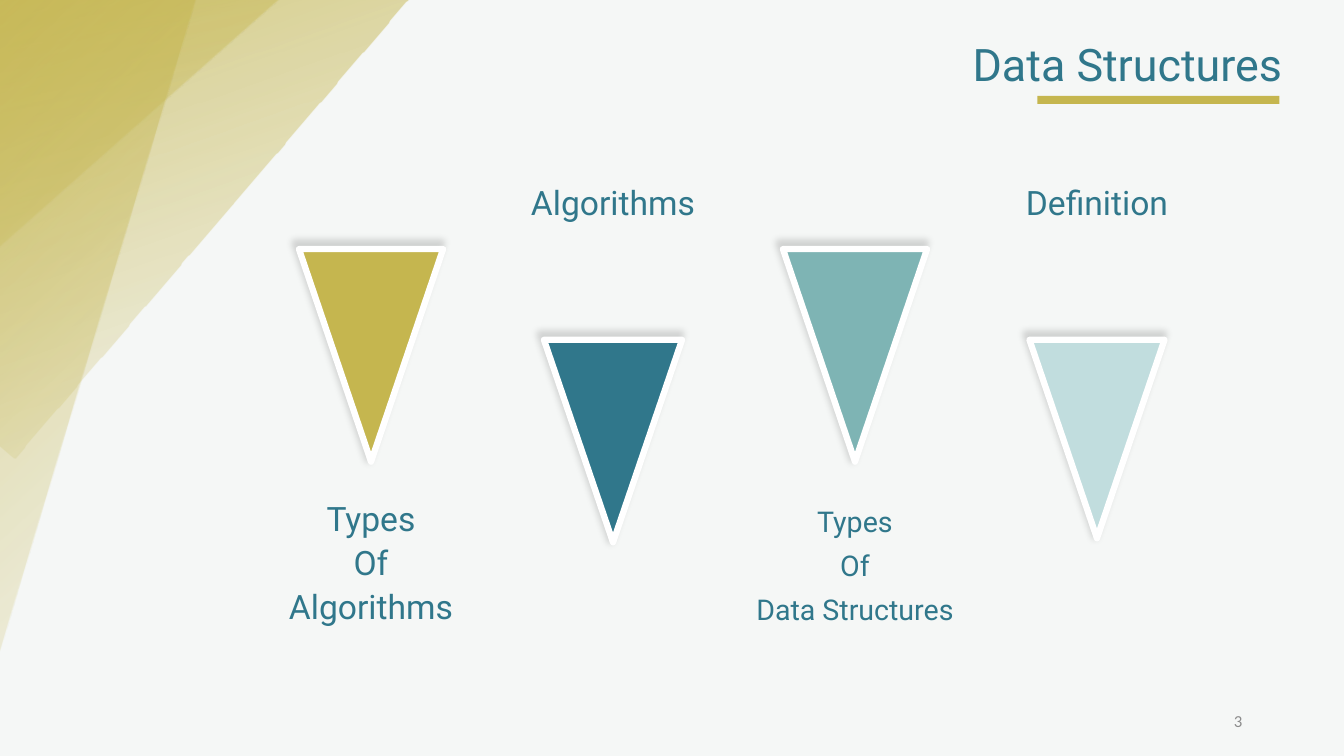
from dataclasses import dataclass

from lxml.etree import SubElement
from pptx import Presentation
from pptx.dml.color import RGBColor
from pptx.enum.shapes import MSO_SHAPE as Kind
from pptx.enum.text import MSO_ANCHOR as Anchor, MSO_AUTO_SIZE as Fit, PP_ALIGN as Align
from pptx.oxml import parse_xml
from pptx.oxml.ns import nsdecls, qn
from pptx.util import Inches, Pt


@dataclass(frozen=True)
class Theme:
    paper: str = "F5F7F6"
    gold: str = "C5B64F"
    blue: str = "30778B"
    teal: str = "7EB4B4"
    mist: str = "C1DDDE"
    white: str = "FFFFFF"
    gray: str = "8C8C8C"
    font: str = "Roboto"
    plain: str = "Calibri"
    title: float = 32
    label: float = 24
    small: float = 20.4
    note: float = 12


def write(frame, text, size, color, font, align, anchor=Anchor.TOP, line=None, before=None):
    frame.word_wrap = True
    frame.vertical_anchor = anchor
    frame.text = text
    for par in frame.paragraphs:
        par.alignment = align
        if line:
            par.line_spacing = Pt(line)
        if before:
            par.space_before = Pt(before)
        style = par.runs[0].font
        style.size, style.name = Pt(size), font
        style.color.rgb = RGBColor.from_string(color)


class Page:
    """A slide on a grid of 133.3 columns by 75 rows, each a tenth of an inch."""

    def __init__(self, deck, theme):
        self.theme = theme
        self.slide = deck.slides.add_slide(deck.slide_layouts[5])
        back = self.slide.background.fill
        back.solid()
        back.fore_color.rgb = RGBColor.from_string(theme.paper)

    def area(self, *cells):
        return [Inches(cell / 10) for cell in cells]

    def title(self, text, *cells):
        shape = self.slide.shapes.title
        shape.left, shape.top, shape.width, shape.height = self.area(*cells)
        write(shape.text_frame, text, self.theme.title, self.theme.blue,
              self.theme.font, Align.RIGHT)
        shape.text_frame.auto_size = Fit.SHAPE_TO_FIT_TEXT

    def text(self, text, *cells, **style):
        box = self.slide.shapes.add_textbox(*self.area(*cells))
        write(box.text_frame, text, **style)

    def shape(self, kind, color, *cells, turn=0):
        item = self.slide.shapes.add_shape(kind, *self.area(*cells))
        item.shadow.inherit = False
        item.fill.solid()
        item.fill.fore_color.rgb = RGBColor.from_string(color)
        item.line.fill.background()
        item.rotation = turn
        return item

    def ray(self, turn, *cells):
        """Add a turned band that fades from gold to clear."""
        band = self.shape(Kind.RECTANGLE, self.theme.gold, *cells, turn=turn)
        stops = "".join(
            f'<a:gs pos="{pos}000"><a:srgbClr val="{self.theme.gold}">'
            f'<a:alpha val="{alpha}000"/></a:srgbClr></a:gs>'
            for pos, alpha in ((0, 100), (50, 50), (100, 0)))
        fade = parse_xml(f'<a:gradFill {nsdecls("a")} rotWithShape="1"><a:gsLst>{stops}'
                         '</a:gsLst><a:lin ang="7200000" scaled="0"/></a:gradFill>')
        props = band.element.spPr
        props.replace(props.find(qn("a:solidFill")), fade)

    def wedge(self, color, mid, top, wide, high):
        """Add a triangle that points down, with a white rim and a soft shadow."""
        item = self.shape(Kind.ISOSCELES_TRIANGLE, color, mid - wide / 2, top, wide, high,
                          turn=180)
        item.line.width = Pt(4.5)
        item.line.color.rgb = RGBColor.from_string(self.theme.white)
        glow = SubElement(item.element.spPr.find(qn("a:effectLst")), qn("a:outerShdw"),
                          blurRad=str(Pt(5)), sx="102000", sy="102000", algn="ctr",
                          rotWithShape="0")
        tint = SubElement(glow, qn("a:srgbClr"), val="000000")
        SubElement(tint, qn("a:alpha"), val="15000")

    def label(self, text, mid, top, size):
        self.text(text, mid - 13.5, top, 27, 13.2, size=size, color=self.theme.blue,
                  font=self.theme.font, align=Align.CENTER, line=21.6, before=10)


def main():
    deck = Presentation()
    deck.slide_width, deck.slide_height = Inches(13.33), Inches(7.5)
    theme = Theme()
    page = Page(deck, theme)

    for ray in ((310.6, -22.2, -6, 65.1, 32.4),
                (318.5, -40.1, -17.4, 89.2, 32.4),
                (286.7, -48.8, 6, 89.2, 32.4)):
        page.ray(*ray)

    page.title("Data Structures", 62.3, 3.1, 65.9, 6.4)
    page.shape(Kind.RECTANGLE, theme.gold, 102.9, 9.5, 24, 0.8)

    topics = (("Types\nOf\nAlgorithms", theme.label, theme.gold, 14.3, 21.1),
              ("Algorithms", theme.label, theme.blue, 13.7, 20.1),
              ("Types\nOf\nData Structures", theme.small, theme.teal, 14.3, 21.1),
              ("Definition", theme.label, theme.mist, 13.4, 19.7))
    for col, (name, size, color, wide, high) in enumerate(topics):
        mid = 36.8 + 24 * col
        low = col % 2
        page.wedge(color, mid, 33.7 if low else 24.7, wide, high)
        page.label(name, mid, 18.6 if low else 49.9, size)

    page.text("3", 94.2, 69.5, 30, 4, size=theme.note, color=theme.gray,
              font=theme.plain, align=Align.RIGHT, anchor=Anchor.MIDDLE)
    deck.save("out.pptx")


if __name__ == "__main__":
    main()
